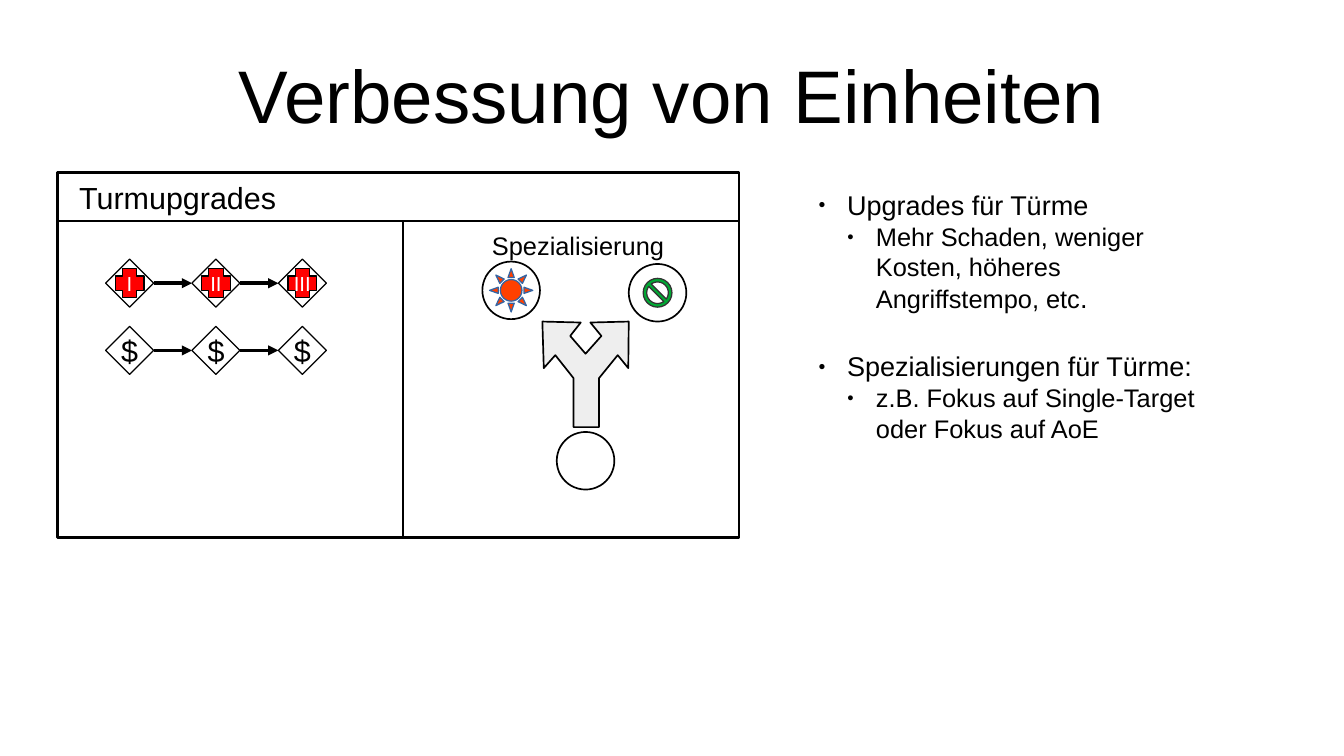
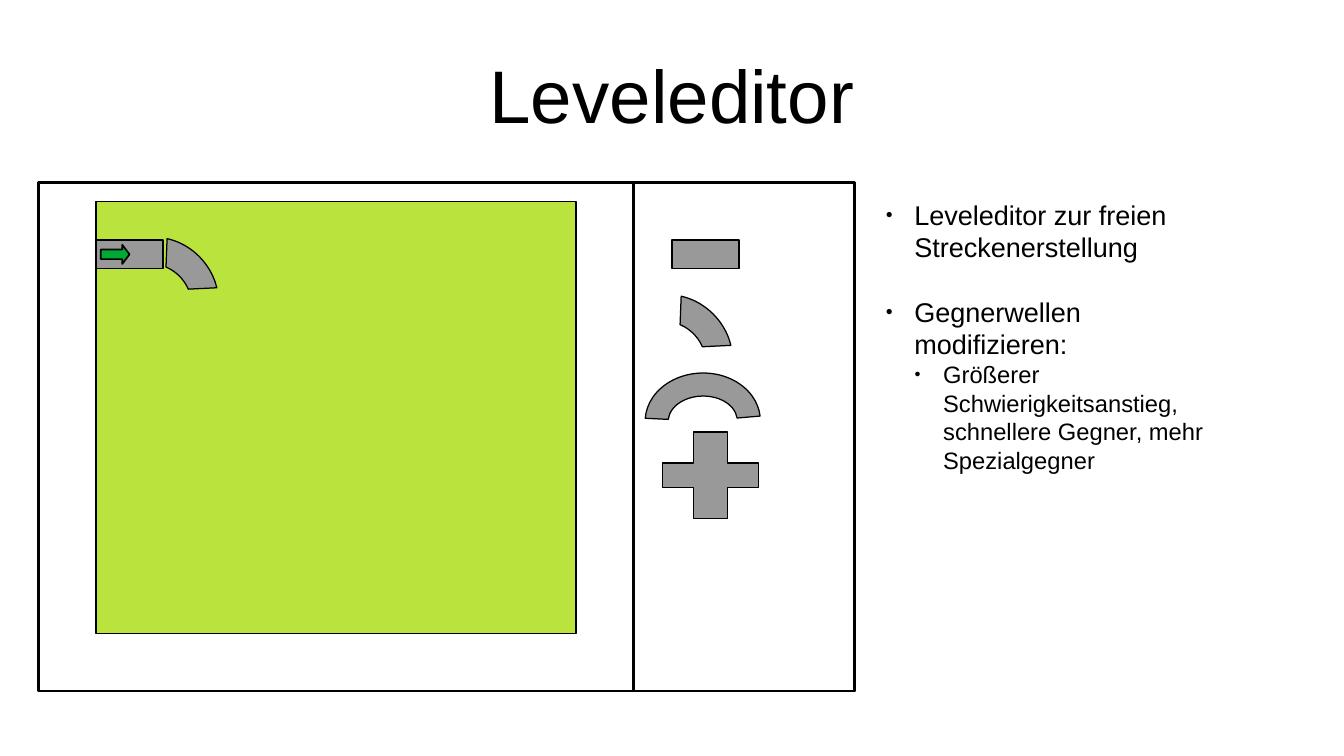
from lxml.etree import SubElement as Sub
from pptx import Presentation
from pptx.dml.color import RGBColor as Rgb
from pptx.enum.shapes import MSO_CONNECTOR as Link, MSO_SHAPE as Form
from pptx.enum.text import MSO_ANCHOR as Anchor, PP_ALIGN as Align
from pptx.oxml.ns import qn
from pptx.util import Cm, Pt

HUES = {"black": "000000", "white": "FFFFFF", "red": "FF0000", "sun": "FF4000",
        "blue": "3465A4", "green": "00A933", "dark": "333333", "pale": "EEEEEE",
        "lawn": "BBE33D", "road": "999999"}
THIN, BOLD = 0.99, 1.5


class Deck:
    """Hold the shared style and draw on the current slide."""

    def __init__(self, wide, high):
        self.show = Presentation()
        self.show.slide_width, self.show.slide_height = Cm(wide), Cm(high)
        self.font = "Arial"

    def hue(self, name):
        return Rgb.from_string(HUES[name])

    def page(self, title):
        self.slide = self.show.slides.add_slide(self.show.slide_layouts[6])
        self.items = self.slide.shapes
        frame = self.frame(1.4, 0.63, 25.2, 2.63)
        frame.margin_left = frame.margin_right = 0
        frame.margin_top = frame.margin_bottom = 0
        frame.vertical_anchor = Anchor.MIDDLE
        para = frame.paragraphs[0]
        para.alignment = Align.CENTER
        self.run(para, title, 44)

    def run(self, para, text, size, hue="black"):
        run = para.add_run()
        run.text = text
        run.font.name, run.font.size = self.font, Pt(size)
        run.font.color.rgb = self.hue(hue)

    def frame(self, x, y, w, h):
        frame = self.items.add_textbox(Cm(x), Cm(y), Cm(w), Cm(h)).text_frame
        frame.word_wrap = True
        return frame

    def label(self, x, y, w, h, text, size):
        self.run(self.frame(x, y, w, h).paragraphs[0], text, size)

    def paint(self, shape, fill, line, width):
        shape.shadow.inherit = False
        if fill:
            shape.fill.solid()
            shape.fill.fore_color.rgb = self.hue(fill)
        else:
            shape.fill.background()
        shape.line.color.rgb = self.hue(line)
        shape.line.width = Pt(width)

    def shape(self, form, x, y, w, h, fill="white", line="black", width=0,
              turn=0, bends=()):
        shape = self.items.add_shape(form, Cm(x), Cm(y), Cm(w), Cm(h))
        self.paint(shape, fill, line, width)
        shape.rotation = turn
        for i, bend in enumerate(bends):
            shape.adjustments[i] = bend
        return shape

    def mark(self, shape, text, size, hue="black"):
        frame = shape.text_frame
        frame.word_wrap = False
        frame.vertical_anchor = Anchor.MIDDLE
        para = frame.paragraphs[0]
        para.alignment = Align.CENTER
        self.run(para, text, size, hue)

    def outline(self, spots, fill, width):
        spots = [(Cm(x), Cm(y)) for x, y in spots]
        pen = self.items.build_freeform(*spots[0], scale=1.0)
        pen.add_line_segments(spots[1:], close=True)
        self.paint(pen.convert_to_shape(), fill, "black", width)

    def line(self, x, y, u, v, width=THIN, arrow=False):
        line = self.items.add_connector(Link.STRAIGHT, Cm(x), Cm(y), Cm(u), Cm(v))
        line.line.color.rgb = self.hue("black")
        line.line.width = Pt(width)
        if arrow:
            Sub(line.line._get_or_add_ln(), qn("a:tailEnd"), type="triangle")
        Sub(line._element.spPr, qn("a:effectLst"))

    def points(self, x, y, w, h, rows):
        frame = self.frame(x, y, w, h)
        for i, (level, gap, parts) in enumerate(rows):
            para = frame.add_paragraph() if i else frame.paragraphs[0]
            para.level, para.space_before = level, Pt(gap)
            props = para._p.get_or_add_pPr()
            props.set("marL", str(Cm(0.6 * (level + 1))))
            props.set("indent", str(-Cm(0.6)))
            tint = Sub(props, qn("a:buClr"))
            Sub(tint, qn("a:srgbClr"), val=HUES["black"])
            Sub(props, qn("a:buSzPct"), val="45000")
            Sub(props, qn("a:buFont"), typeface=self.font)
            Sub(props, qn("a:buChar"), char="●")
            for text, size in parts:
                self.run(para, text, size)


def towers(deck):
    deck.page("Verbessung von Einheiten")
    deck.shape(Form.RECTANGLE, 1.2, 3.6, 14.2, 7.6, width=BOLD)
    deck.line(1.2, 4.6, 15.4, 4.6)
    deck.line(8.4, 4.6, 8.4, 11.2)
    deck.label(1.4, 3.6, 14, 0.97, "Turmupgrades", 18)
    for i, rank in enumerate(("I", "II", "III")):
        x = 2.2 + 1.8 * i
        deck.shape(Form.DIAMOND, x, 5.4, 1, 1)
        plus = deck.shape(Form.CROSS, x + 0.2, 5.6, 0.6, 0.6, "red", bends=(0.25,))
        deck.mark(plus, rank, 12, "white")
        deck.mark(deck.shape(Form.DIAMOND, x, 6.8, 1, 1), "$", 18)
        if i:
            for y in (5.9, 7.3):
                deck.line(x - 0.8, y, x, y, 0, True)
    deck.outline([(12.3, 6.72), (12.53, 7), (12.2, 7.37), (11.88, 7), (12.1, 6.72),
                  (11.3, 6.7), (11.33, 7.67), (11.57, 7.4), (11.95, 7.88),
                  (11.95, 8.9), (12.48, 8.9), (12.48, 7.88), (12.87, 7.4),
                  (13.09, 7.67), (13.1, 6.7)], "pale", THIN)
    for x, y in ((11.6, 9), (13.1, 5.5), (10.05, 5.45)):
        deck.shape(Form.OVAL, x, y, 1.2, 1.2, width=THIN)
    deck.label(10, 4.67, 4.4, 0.85, "Spezialisierung", 15)
    deck.shape(Form.SUN, 10.2, 5.6, 0.9, 0.9, "sun", "blue", bends=(0.25,))
    deck.shape(Form.NO_SYMBOL, 13.4, 5.8, 0.6, 0.6, "green", "dark", bends=(0.125,))
    deck.points(16.8, 3.8, 8.6, 11, [
        (0, 0, [("Upgrades für Türme", 16)]),
        (1, 0, [("Mehr Schaden, weniger Kosten, höheres Angriffstempo, etc", 15),
                (".", 16)]),
        (0, 21, [("Spezialisierungen für Türme:", 16)]),
        (1, 0, [("z.B. Fokus auf Single-Target oder Fokus auf AoE", 15)])])


def editor(deck):
    deck.page("Leveleditor")
    deck.shape(Form.RECTANGLE, 2, 4.2, 10, 9, "lawn", width=THIN)
    deck.shape(Form.RECTANGLE, 13.2, 3.8, 4.6, 10.6, width=BOLD)
    deck.shape(Form.RECTANGLE, 0.8, 3.8, 17, 10.6, None, width=BOLD)
    for x in (2, 14):
        deck.shape(Form.RECTANGLE, x, 5, 1.4, 0.6, "road")
    curve, arch = (136.53, 187.47, 0.29), (2.28, 105.72, 0.24)
    for x, y, turn, bends in ((2.24, 5.05, 44.7, curve), (12.95, 6.25, 44.7, curve),
                              (13.44, 7.77, 178.9, arch)):
        deck.shape(Form.BLOCK_ARC, x, y, 2.4, 2, "road", turn=turn, bends=bends)
    deck.shape(Form.RIGHT_ARROW, 2.1, 5.1, 0.6, 0.4, "green", width=THIN,
               bends=(0.5, 0.38))
    deck.shape(Form.CROSS, 13.8, 9, 2, 1.8, "road", bends=(0.36,))
    deck.points(18.2, 4, 7.2, 5.6, [
        (0, 0, [("Leveleditor zur freien Streckenerstellung", 16)]),
        (0, 19, [("Gegnerwellen modifizieren:", 16)]),
        (1, 0, [("Größerer Schwierigkeitsanstieg, schnellere Gegner, "
                 "mehr Spezialgegner", 14)])])


deck = Deck(28, 15.75)
towers(deck)
editor(deck)
deck.show.save("out.pptx")
